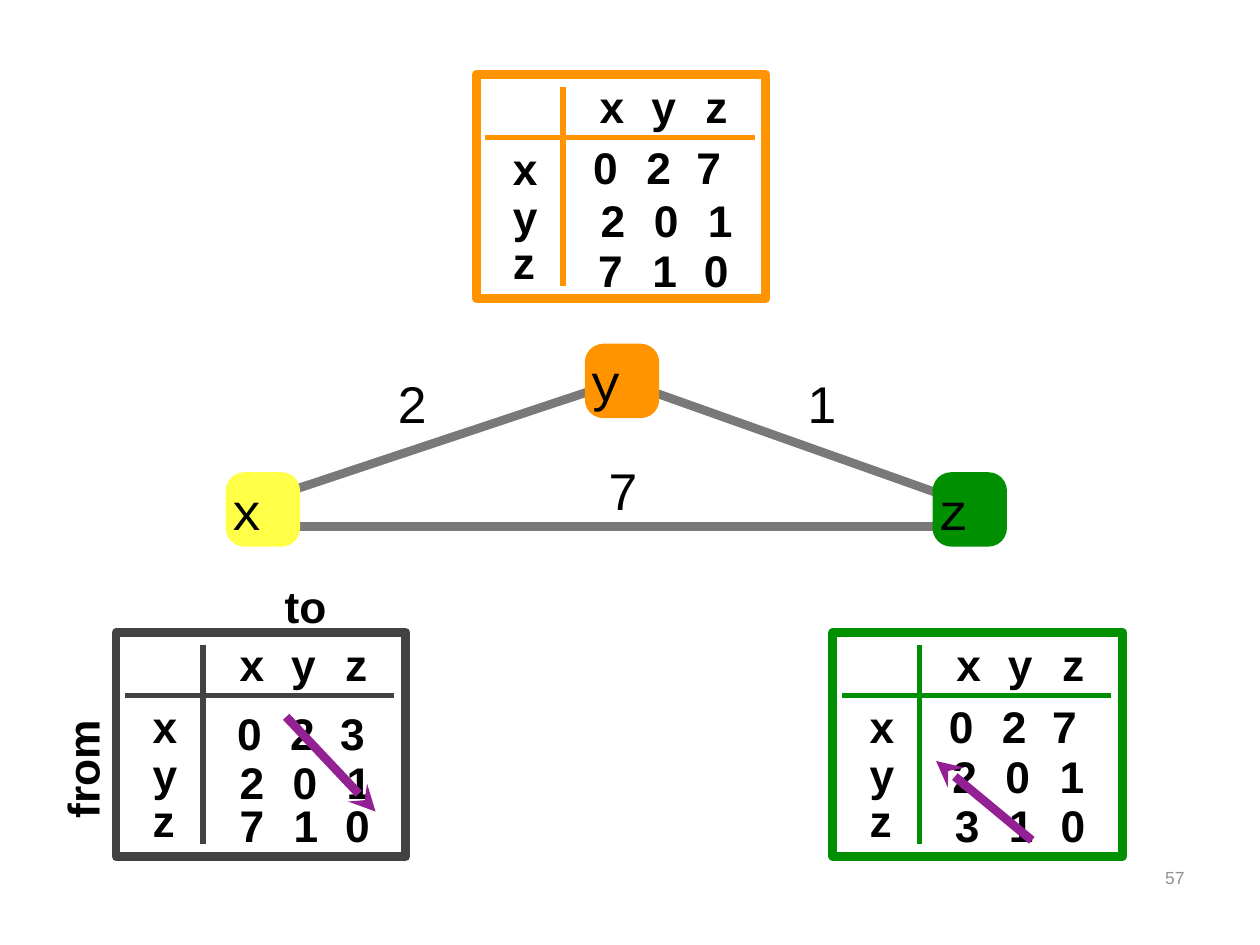
from lxml.etree import SubElement
from pptx import Presentation
from pptx.dml.color import RGBColor
from pptx.enum.shapes import MSO_CONNECTOR as Connector, MSO_SHAPE as Shape
from pptx.enum.text import MSO_ANCHOR as Anchor, PP_ALIGN as Align
from pptx.oxml.ns import qn
from pptx.util import Cm, Pt

COLORS = {
    "black": "000000", "edge": "797979", "arrow": "942193", "number": "919191",
    "yellow": "FFFF47", "orange": "FF9300", "green": "008F00", "dark": "424242",
}

# All positions and sizes are in centimetres.
NODES = [("x", 4.55, 9.52, "yellow"), ("z", 18.8, 9.52, "green"), ("y", 11.79, 6.93, "orange")]
EDGES = [
    ((12.09, 7.82), (5.66, 9.96)),
    ((5.84, 10.62), (19.38, 10.62)),
    ((12.93, 7.82), (19.38, 10.11)),
]
WEIGHTS = [("7", 12.17, 9.14), ("2", 7.92, 7.39), ("1", 16.18, 7.39)]

# Each row of costs: its digits, then its left and top inside the frame.
COST_TABLES = [
    {"color": "orange", "left": 9.6, "top": 1.5,
     "rows": [("027", 2.26, 1.22), ("201", 2.41, 2.29), ("710", 2.36, 3.28)]},
    {"color": "dark", "left": 2.34, "top": 12.75,
     "rows": [("023", 2.34, 1.37), ("201", 2.39, 2.36), ("710", 2.39, 3.23)]},
    {"color": "green", "left": 16.79, "top": 12.75,
     "rows": [("027", 2.24, 1.24), ("201", 2.31, 2.24), ("310", 2.36, 3.23)]},
]
UPDATES = [((5.77, 14.45), (7.57, 16.36)), ((20.8, 16.94), (18.87, 15.34))]

NAMES = "xyz"
FRAME_SIZE = (5.84, 4.52)
HEADER_LEFTS = (2.39, 3.43, 4.52)
LABEL_TOPS = (1.23, 2.2, 3.13)
COST_STEPS = [(0, 1.07, 2.08), (0, 1.07, 2.16), (0, 1.09, 2.13)]
COST_WIDTHS = [(0.74, 0.74, 0.74), (0.48, 0.48, 0.38), (0.48, 0.48, 0.53)]
NODE_SIZE = 1.5
ROW_HEIGHT = 1.3
INSET = 0.1
TABLE_PT, GRAPH_PT = 25.3, 29.5


def rgb(color):
    return RGBColor.from_string(COLORS[color])


def write(frame, words, size, bold=None, font="Arial", color="black",
          inset=INSET, anchor=Anchor.MIDDLE, align=Align.LEFT):
    frame.word_wrap = True
    frame.vertical_anchor = anchor
    if inset is not None:
        frame.margin_left = frame.margin_right = Cm(inset)
        frame.margin_top = frame.margin_bottom = Cm(inset)
    frame.text = words
    paragraph = frame.paragraphs[0]
    paragraph.alignment = align
    style = paragraph.runs[0].font
    style.name, style.size, style.bold = font, Pt(size), bold
    style.color.rgb = rgb(color)


def add_text(slide, words, left, top, width, height, size, **style):
    box = slide.shapes.add_textbox(Cm(left), Cm(top), Cm(width), Cm(height))
    write(box.text_frame, words, size, **style)
    return box


def add_line(slide, start, end, color, width, arrow=False):
    line = slide.shapes.add_connector(Connector.STRAIGHT, *map(Cm, start + end))
    line.line.color.rgb = rgb(color)
    line.line.width = Pt(width)
    if arrow:
        SubElement(line.line._get_or_add_ln(), qn("a:tailEnd"), type="stealth")
    SubElement(line._element.spPr, qn("a:effectLst"))


def add_node(slide, name, left, top, color):
    node = slide.shapes.add_shape(
        Shape.ROUNDED_RECTANGLE, Cm(left), Cm(top), Cm(NODE_SIZE), Cm(NODE_SIZE))
    node.adjustments[0] = 0.25
    node.shadow.inherit = False
    node.fill.solid()
    node.fill.fore_color.rgb = rgb(color)
    node.line.fill.background()
    write(node.text_frame, name, GRAPH_PT, font="Courier New", inset=0)


def add_cost_table(slide, color, left, top, rows):
    """Draw a framed distance table whose hand-placed rows may be offset."""
    frame = slide.shapes.add_shape(Shape.RECTANGLE, Cm(left), Cm(top), *map(Cm, FRAME_SIZE))
    frame.shadow.inherit = False
    frame.fill.background()
    frame.line.color.rgb = rgb(color)
    frame.line.width = Pt(5)

    add_line(slide, (left + 0.18, top + 1.27), (left + 5.61, top + 1.27), color, 3)
    add_line(slide, (left + 1.75, top + 4.27), (left + 1.75, top + 0.25), color, 3)

    cells = [(name, x, 0.05, 0.74, 1.17) for name, x in zip(NAMES, HEADER_LEFTS)]
    cells += [(name, 0.64, y, 0.66, ROW_HEIGHT) for name, y in zip(NAMES, LABEL_TOPS)]
    for (costs, x, y), steps, widths in zip(rows, COST_STEPS, COST_WIDTHS):
        cells += [(cost, x + step, y, width, ROW_HEIGHT)
                  for cost, step, width in zip(costs, steps, widths)]
    for words, x, y, width, height in cells:
        add_text(slide, words, left + x, top + y, width, height, TABLE_PT, bold=True)


def main():
    deck = Presentation()
    deck.slide_width, deck.slide_height = Cm(25.4), Cm(19.05)
    slide = deck.slides.add_slide(deck.slide_layouts[6])

    for start, end in EDGES:
        add_line(slide, start, end, "edge", 5)
    for node in NODES:
        add_node(slide, *node)
    for weight, left, top in WEIGHTS:
        add_text(slide, weight, left, top, 0.74, 1.47, GRAPH_PT)

    for table in COST_TABLES:
        add_cost_table(slide, **table)
    source = add_text(slide, "from", 0.33, 14.63, 2.64, ROW_HEIGHT, TABLE_PT, bold=True)
    source.rotation = 270
    add_text(slide, "to", 5.64, 11.56, 1.3, ROW_HEIGHT, TABLE_PT, bold=True)
    for start, end in UPDATES:
        add_line(slide, start, end, "arrow", 5, arrow=True)

    add_text(slide, "57", 18.21, 17.35, 5.92, 1.27, 10, color="number",
             inset=None, anchor=Anchor.TOP, align=Align.RIGHT)
    deck.save("out.pptx")


if __name__ == "__main__":
    main()
